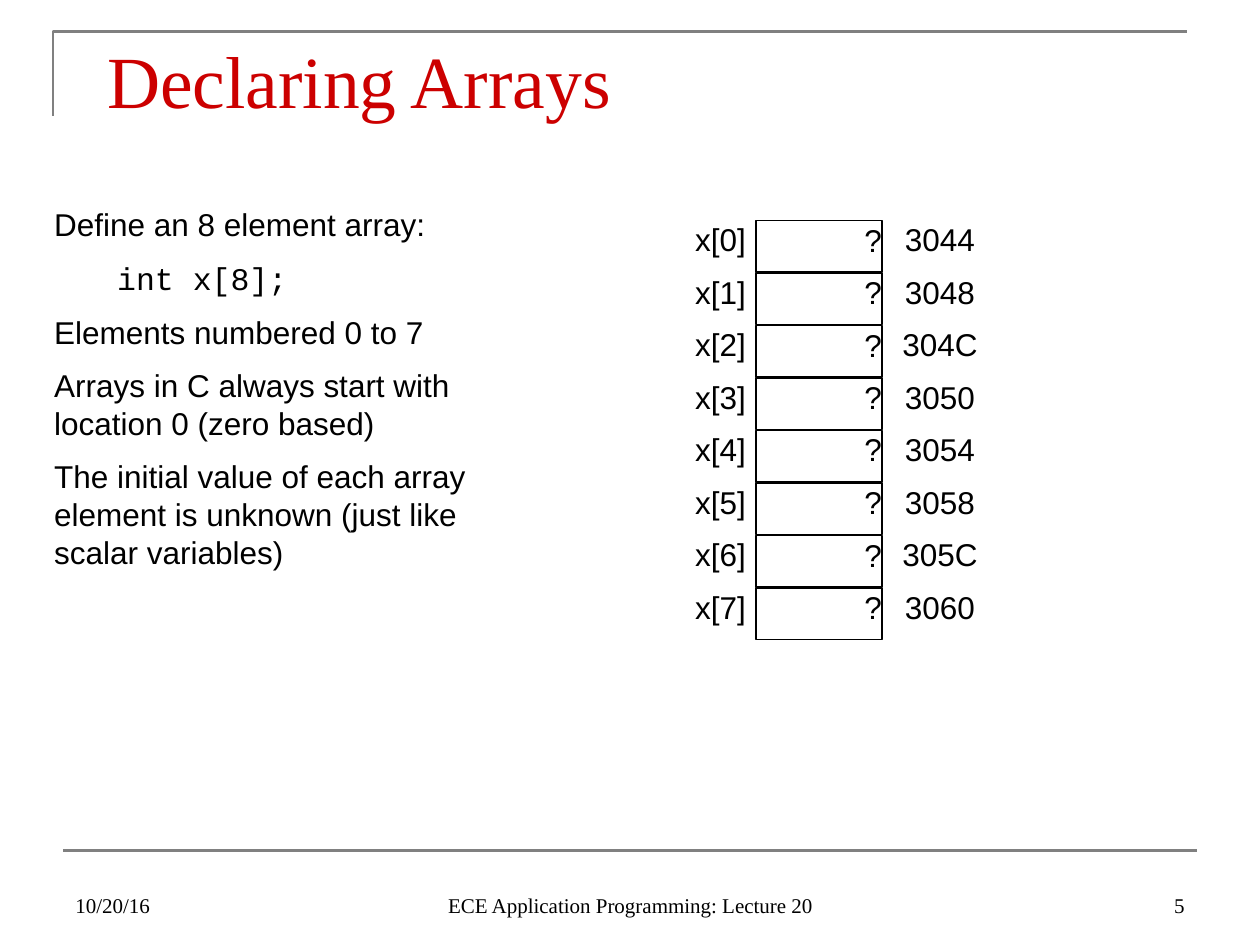
"""Build the slide on declaring arrays in C."""
from dataclasses import dataclass

from lxml.etree import SubElement
from pptx import Presentation
from pptx.dml.color import RGBColor
from pptx.enum.shapes import MSO_CONNECTOR as Connector, MSO_SHAPE as Shape
from pptx.enum.text import MSO_ANCHOR as Anchor, MSO_AUTO_SIZE as AutoSize, PP_ALIGN as Align
from pptx.oxml.ns import qn
from pptx.util import Inches, Pt

BLACK = RGBColor(0x00, 0x00, 0x00)
GRAY = RGBColor(0x80, 0x80, 0x80)
RED = RGBColor(0xCC, 0x00, 0x00)
SANS, SERIF, MONO = "Arial", "Times New Roman", "Courier New"
FIRST_ROW, ROW_PITCH = 1.75, 5 / 12


@dataclass
class Element:
    index: int

    @property
    def top(self) -> float:
        return FIRST_ROW + self.index * ROW_PITCH

    @property
    def name(self) -> str:
        return f"x[{self.index}]"

    @property
    def address(self) -> str:
        return f"{0x3044 + 4 * self.index:X}"


@dataclass
class FooterPart:
    left: float
    width: float
    text: str
    align: Align


FOOTER = [
    FooterPart(0.5, 2.33, "10/20/16", Align.LEFT),
    FooterPart(3.42, 3.17, "ECE Application Programming: Lecture 20", Align.CENTER),
    FooterPart(7.17, 2.33, "5", Align.RIGHT),
]
POINTS = [
    ("Define an 8 element array:", SANS),
    ("\tint x[8];", MONO),
    ("Elements numbered 0 to 7", SANS),
    ("Arrays in C always start with location 0 (zero based)", SANS),
    ("The initial value of each array element is unknown (just like scalar variables)", SANS),
]


def place(shape, left: float, top: float, width: float, height: float) -> None:
    shape.left, shape.top = Inches(left), Inches(top)
    shape.width, shape.height = Inches(width), Inches(height)


def write(paragraph, text: str, *, font=SANS, size=18, color=BLACK, align=Align.LEFT) -> None:
    paragraph.alignment = align
    run = paragraph.add_run()
    run.text = text
    run.font.name, run.font.size = font, Pt(size)
    run.font.color.rgb = color


def prepare(frame, inset: tuple[float, float] = (0.1, 0.05), anchor=Anchor.TOP) -> None:
    frame.word_wrap = True
    frame.auto_size = AutoSize.NONE
    frame.vertical_anchor = anchor
    frame.margin_left = frame.margin_right = Inches(inset[0])
    frame.margin_top = frame.margin_bottom = Inches(inset[1])


def add_label(slide, left: float, top: float, text: str, align: Align) -> None:
    label = slide.shapes.add_textbox(Inches(left), Inches(top), Inches(0.92), Inches(0.4))
    prepare(label.text_frame, (0, 0))
    write(label.text_frame.paragraphs[0], text, align=align)


def add_element(slide, element: Element) -> None:
    add_label(slide, 5, element.top, element.name, Align.RIGHT)
    cell = slide.shapes.add_shape(
        Shape.RECTANGLE, Inches(6), Inches(element.top), Inches(1), Inches(0.41))
    cell.shadow.inherit = False
    cell.fill.background()
    cell.line.color.rgb, cell.line.width = BLACK, Pt(0.75)
    prepare(cell.text_frame, (0, 0))
    write(cell.text_frame.paragraphs[0], "?", align=Align.RIGHT)
    add_label(slide, 7, element.top, element.address, Align.CENTER)


def add_rules(slide) -> None:
    outline = slide.shapes.build_freeform(Inches(0.42), Inches(0.92))
    outline.add_line_segments(
        [(Inches(0.42), Inches(0.25)), (Inches(9.42), Inches(0.25))], close=False)
    corner = outline.convert_to_shape()
    corner.shadow.inherit = False
    corner.fill.background()
    footer_rule = slide.shapes.add_connector(
        Connector.STRAIGHT, Inches(0.5), Inches(6.75), Inches(9.5), Inches(6.75))
    for rule in (corner, footer_rule):
        rule.line.color.rgb, rule.line.width = GRAY, Pt(1.5)
    SubElement(footer_rule._element.spPr, qn("a:effectLst"))


def fill_title(title) -> None:
    place(title, 0.75, 0.17, 8.5, 0.58)
    prepare(title.text_frame, (0.1, 0.11))
    write(title.text_frame.paragraphs[0], "Declaring Arrays", font=SERIF, size=42, color=RED)


def fill_points(body) -> None:
    place(body, 0.33, 1.58, 3.83, 3.13)
    frame = body.text_frame
    prepare(frame)
    for number, (text, font) in enumerate(POINTS):
        paragraph = frame.add_paragraph() if number else frame.paragraphs[0]
        paragraph.space_before = Pt(9 if number else 0)
        properties = paragraph._p.get_or_add_pPr()
        properties.set("marL", "0")
        properties.set("indent", "0")
        SubElement(properties, qn("a:buNone"))
        write(paragraph, text, font=font)


def add_footer(slide, part: FooterPart) -> None:
    box = slide.shapes.add_textbox(
        Inches(part.left), Inches(6.83), Inches(part.width), Inches(0.5))
    prepare(box.text_frame, anchor=Anchor.BOTTOM)
    write(box.text_frame.paragraphs[0], part.text, font=SERIF, size=12, align=part.align)


def main() -> None:
    deck = Presentation()
    deck.slide_width, deck.slide_height = Inches(10), Inches(7.5)
    slide = deck.slides.add_slide(deck.slide_layouts[1])
    add_rules(slide)
    fill_title(slide.shapes.title)
    for index in range(8):
        add_element(slide, Element(index))
    fill_points(slide.placeholders[1])
    for part in FOOTER:
        add_footer(slide, part)
    deck.save("out.pptx")


if __name__ == "__main__":
    main()
